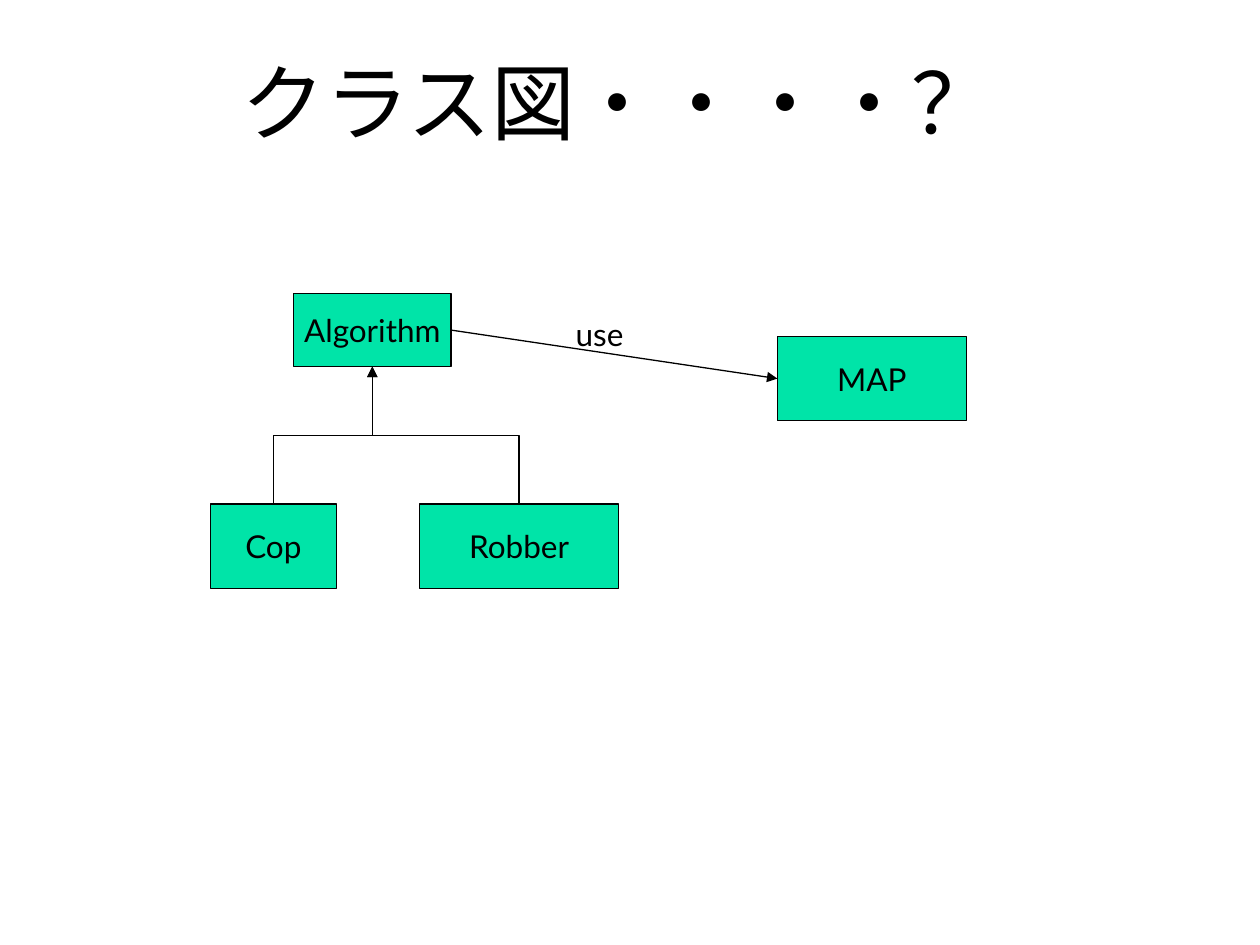
import dataclasses

import pptx
import pptx.dml.color
import pptx.enum.shapes
import pptx.enum.text
import pptx.oxml
import pptx.oxml.ns
import pptx.util

Inches = pptx.util.Inches
Pt = pptx.util.Pt
RGBColor = pptx.dml.color.RGBColor
Connector = pptx.enum.shapes.MSO_CONNECTOR
Align = pptx.enum.text.PP_ALIGN
Anchor = pptx.enum.text.MSO_ANCHOR
TOP, LEFT, BOTTOM, RIGHT = range(4)


@dataclasses.dataclass(frozen=True)
class Theme:
    font: str = "Lato"
    ink: RGBColor = RGBColor(0, 0, 0)
    class_fill: RGBColor = RGBColor(0x00, 0xE4, 0xA8)
    title_size: int = 48
    body_size: int = 18
    line_width: float = 0.75


THEME = Theme()


def write_text(shape, text, size=THEME.body_size, align=Align.LEFT, anchor=Anchor.TOP):
    frame = shape.text_frame
    frame.word_wrap = False
    frame.vertical_anchor = anchor
    paragraph = frame.paragraphs[0]
    paragraph.alignment = align
    run = paragraph.add_run()
    run.text = text
    run.font.name = THEME.font
    run.font.size = Pt(size)
    run.font.color.rgb = THEME.ink


def add_label(slide, text, box, **text_format):
    shape = slide.shapes.add_textbox(*map(Inches, box))
    write_text(shape, text, **text_format)
    shape.text_frame.auto_size = pptx.enum.text.MSO_AUTO_SIZE.SHAPE_TO_FIT_TEXT


def style_line(line):
    line.color.rgb = THEME.ink
    line.width = Pt(THEME.line_width)


def add_class(slide, name, box):
    process = pptx.enum.shapes.MSO_SHAPE.FLOWCHART_PROCESS
    shape = slide.shapes.add_shape(process, *map(Inches, box))
    shape.shadow.inherit = False
    shape.fill.solid()
    shape.fill.fore_color.rgb = THEME.class_fill
    style_line(shape.line)
    write_text(shape, name, align=Align.CENTER, anchor=Anchor.MIDDLE)
    return shape


def add_arrow(slide, kind, source, source_side, target, target_side):
    connector = slide.shapes.add_connector(kind, 0, 0, 0, 0)
    connector.begin_connect(source, source_side)
    connector.end_connect(target, target_side)
    style_line(connector.line)
    properties = connector._element.spPr
    outline = properties.find(pptx.oxml.ns.qn("a:ln"))
    namespace = pptx.oxml.ns.nsdecls("a")
    outline.append(pptx.oxml.parse_xml(f'<a:tailEnd {namespace} type="triangle"/>'))
    properties.append(pptx.oxml.parse_xml(f"<a:effectLst {namespace}/>"))
    return connector


def add_inheritance(slide, child, parent):
    connector = add_arrow(slide, Connector.ELBOW, child, TOP, parent, BOTTOM)
    start_x, end_x = connector.begin_x, connector.end_x
    start_y, end_y = connector.begin_y, connector.end_y
    length, spread = abs(end_y - start_y), abs(end_x - start_x)
    connector.left = (start_x + end_x - length) // 2
    connector.top = (start_y + end_y - spread) // 2
    connector.width, connector.height = length, spread
    transform = connector._element.spPr.find(pptx.oxml.ns.qn("a:xfrm"))
    transform.set("rot", str(270 * 60000))
    transform.set("flipH", "0")
    transform.set("flipV", "1" if start_x > end_x else "0")


def add_class_diagram(slide, box):
    left, top, width, height = box
    row_height = 0.67
    child_top = top + height - row_height
    map_width = 1.5
    map_class = add_class(
        slide, "MAP", (left + width - map_width, top + 0.34, map_width, row_height)
    )
    robber = add_class(slide, "Robber", (left + 1.66, child_top, 1.58, row_height))
    cop = add_class(slide, "Cop", (left, child_top, 1, row_height))
    algorithm = add_class(slide, "Algorithm", (left + 0.66, top, 1.25, 0.58))
    for child in (cop, robber):
        add_inheritance(slide, child, algorithm)
    add_arrow(slide, Connector.STRAIGHT, algorithm, RIGHT, map_class, LEFT)
    add_label(slide, "use", (left + 2.8, top + 0.12, 0.61, 0.4))


def add_title(slide, box):
    add_label(slide, "クラス図・・・・？", box, size=THEME.title_size)


def main():
    presentation = pptx.Presentation()
    presentation.slide_width = Inches(10)
    presentation.slide_height = Inches(7.5)
    slide = presentation.slides.add_slide(presentation.slide_layouts[6])
    add_class_diagram(slide, (1.67, 2.33, 6, 2.34))
    add_title(slide, (1.82, 0.35, 6.2, 0.9))
    presentation.save("out.pptx")


if __name__ == "__main__":
    main()
